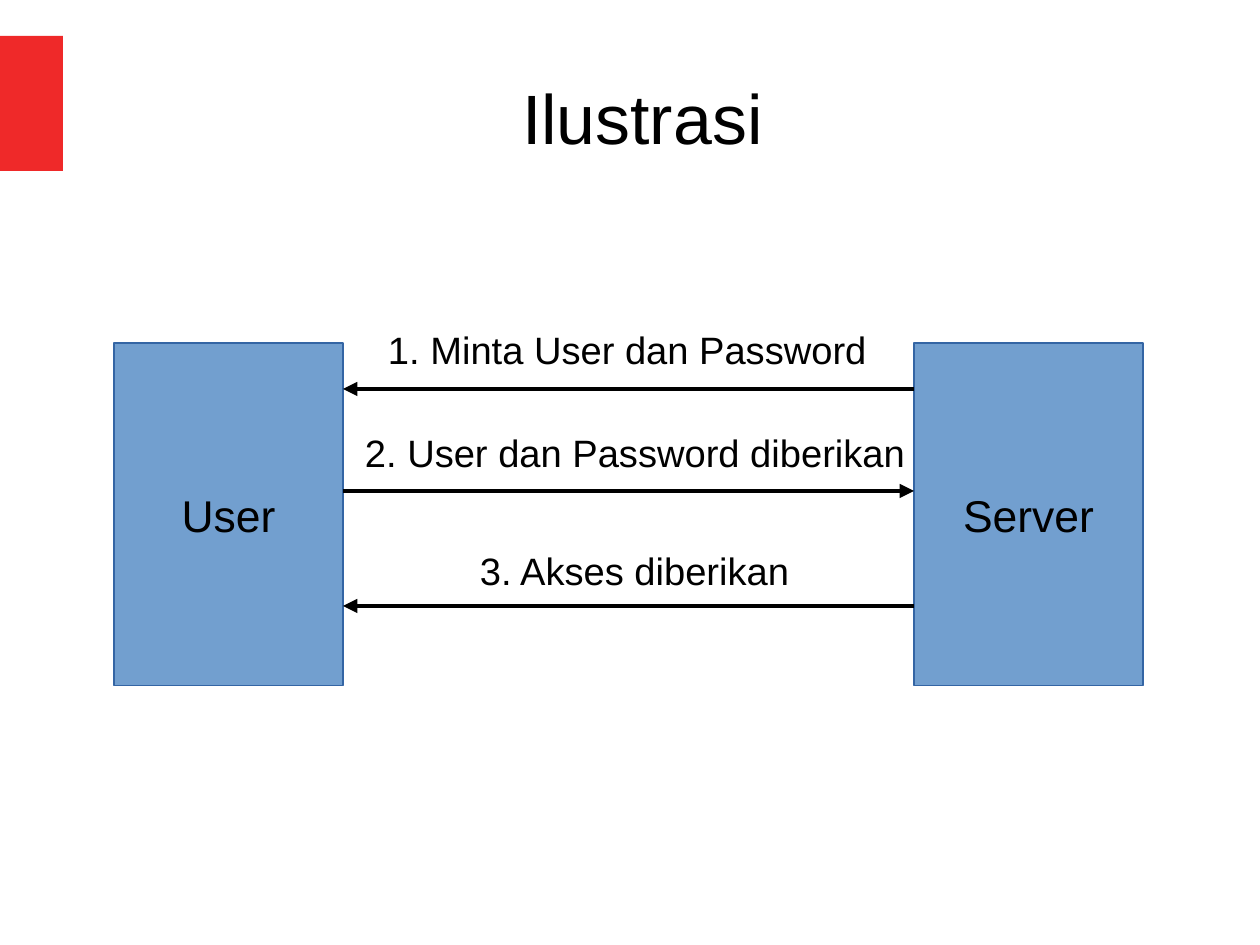
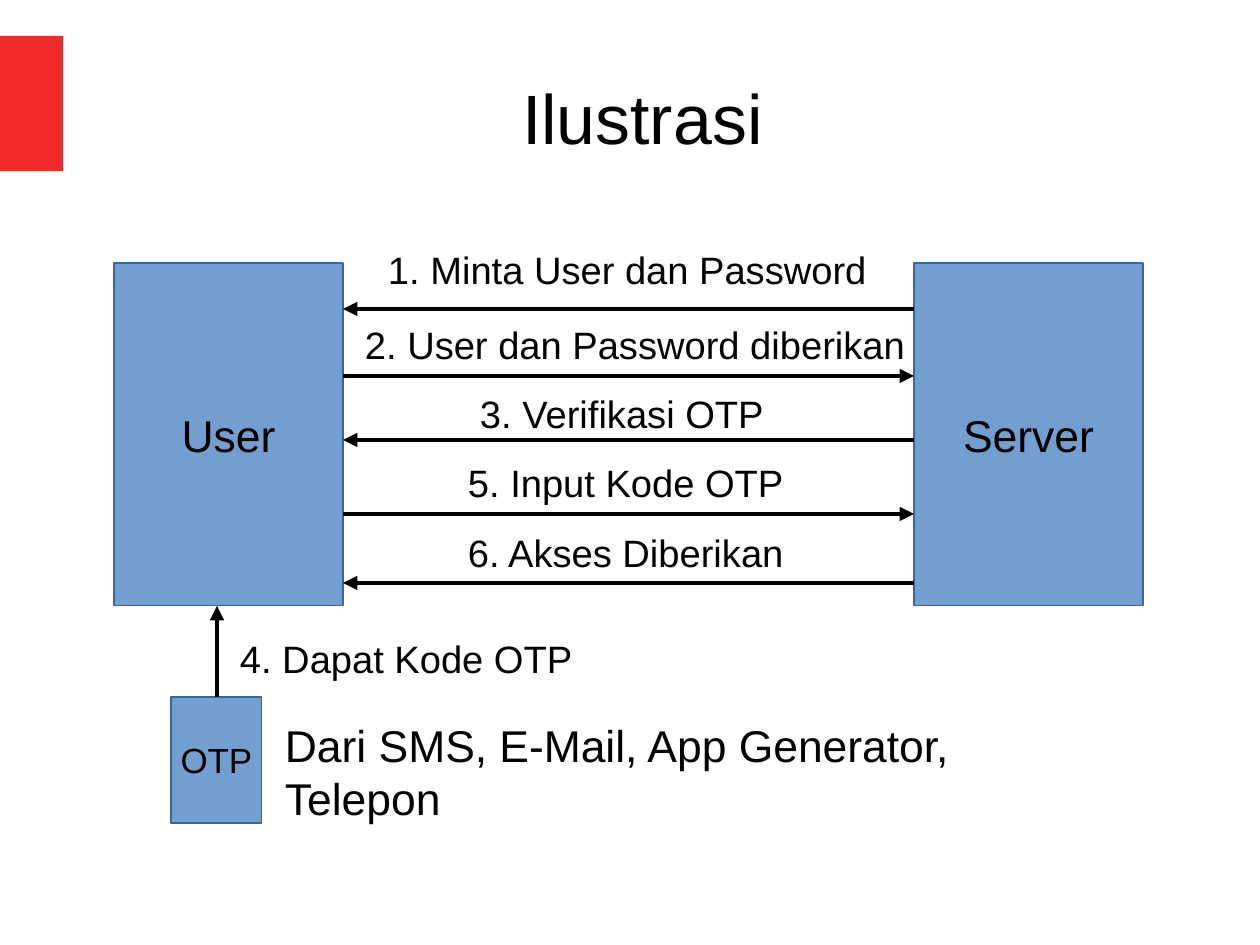
from dataclasses import dataclass
from lxml.etree import SubElement as Sub
from pptx import Presentation as Deck
from pptx.dml.color import RGBColor as Color
from pptx.enum.shapes import MSO_CONNECTOR as Conn, MSO_SHAPE as Form
from pptx.enum.text import MSO_ANCHOR as Anchor, PP_ALIGN as Align
from pptx.oxml.ns import qn
from pptx.util import Pt


@dataclass(frozen=True)
class Theme:
    """Colours, font, type sizes and line widths."""
    ink: str = "000000"
    red: str = "EF2929"
    blue: str = "729FCF"
    edge: str = "3465A4"
    font: str = "Arial"
    title: int = 44
    body: int = 28
    label: int = 24
    small: int = 22
    thin: float = 0.75
    thick: int = 3


LOOK = Theme()
SCALE = 8000
WIDE, HIGH = 1260, 945


def emu(*vals):
    """Turn px lengths into EMU."""
    return [val * SCALE for val in vals]


def write(shape, text, size=LOOK.label, align=Align.LEFT, anchor=Anchor.TOP, wrap=True, pads=(11, 6)):
    """Put formatted text in a shape."""
    frame = shape.text_frame
    frame.word_wrap = wrap
    frame.vertical_anchor = anchor
    frame.margin_left = frame.margin_right = pads[0] * SCALE
    frame.margin_top = frame.margin_bottom = pads[1] * SCALE
    para = frame.paragraphs[0]
    para.alignment = align
    run = para.add_run()
    run.text = text
    run.font.name = LOOK.font
    run.font.size = Pt(size)
    run.font.color.rgb = Color.from_string(LOOK.ink)


def note(slide, box, text, **form):
    """Add a text box."""
    write(slide.shapes.add_textbox(*emu(*box)), text, **form)


def block(slide, box, fill, edge=None):
    """Add a filled rectangle."""
    shape = slide.shapes.add_shape(Form.RECTANGLE, *emu(*box))
    shape.shadow.inherit = False
    shape.fill.solid()
    shape.fill.fore_color.rgb = Color.from_string(fill)
    if edge:
        shape.line.color.rgb = Color.from_string(edge)
        shape.line.width = Pt(LOOK.thin)
    else:
        shape.line.fill.background()
    return shape


def node(slide, box, text, size=LOOK.body):
    """Add a named party of the exchange."""
    write(block(slide, box, LOOK.blue, LOOK.edge), text, size=size,
          align=Align.CENTER, anchor=Anchor.MIDDLE, wrap=False)


def arrow(slide, start, end):
    """Add an arrow pointing at its end."""
    line = slide.shapes.add_connector(Conn.STRAIGHT, *emu(*start, *end))
    line.line.color.rgb = Color.from_string(LOOK.ink)
    line.line.width = Pt(LOOK.thick)
    props = line._element.spPr
    Sub(props.find(qn("a:ln")), qn("a:tailEnd"), type="triangle")
    Sub(props, qn("a:effectLst"))


def base(deck, title):
    """Add a slide with its red band and title."""
    slide = deck.slides.add_slide(deck.slide_layouts[6])
    block(slide, (0, 36, 63, 135), LOOK.red)
    note(slide, (90, 38, 1105, 158), title, size=LOOK.title,
         align=Align.CENTER, anchor=Anchor.MIDDLE, pads=(0, 0))
    return slide


def talk(slide, box, steps):
    """Draw two parties and the messages that alternate between them."""
    left, top, wide, high = box
    side = 229
    near, far = left + side, left + wide - side
    node(slide, (left, top, side, high), "User")
    node(slide, (far, top, side, high), "Server")
    for turn, (text, shift, rise, span, drop) in enumerate(steps):
        ends = [(far, top + drop), (near, top + drop)]
        arrow(slide, *(ends[::-1] if turn % 2 else ends))
        note(slide, (near + shift, top + rise, span, 54), text)


def code(slide, box):
    """Draw the code source below the user and its caption."""
    left, top, wide, high = box
    side, mid = 91, left + 46
    node(slide, (left, top + side, side, high - side), "OTP", size=LOOK.small)
    arrow(slide, (mid, top + side), (mid, top))
    note(slide, (mid + 12, top + 23, 389, 54), "4. Dapat Kode OTP")
    note(slide, (left + 103, top + 106, wide - 103, 111),
         "Dari SMS, E-Mail, App Generator, Telepon", size=LOOK.body)


def main():
    """Build and save the deck."""
    deck = Deck()
    deck.slide_width, deck.slide_height = emu(WIDE, HIGH)
    ask = ("1. Minta User dan Password", 34, -23, 526, 46)
    give = "2. User dan Password diberikan"
    talk(base(deck, "Ilustrasi"), (114, 343, 1029, 343), [
        ask,
        (give, 11, 80, 583, 148),
        ("3. Akses diberikan", 126, 198, 572, 263),
    ])
    slide = base(deck, "Ilustrasi")
    talk(slide, (114, 263, 1029, 343), [
        ask,
        (give, 11, 52, 583, 113),
        ("3. Verifikasi OTP", 126, 121, 572, 177),
        ("5. Input Kode OTP", 114, 190, 446, 251),
        ("6. Akses Diberikan", 114, 260, 377, 320),
    ])
    code(slide, (171, 606, 915, 217))
    deck.save("out.pptx")


if __name__ == "__main__":
    main()
